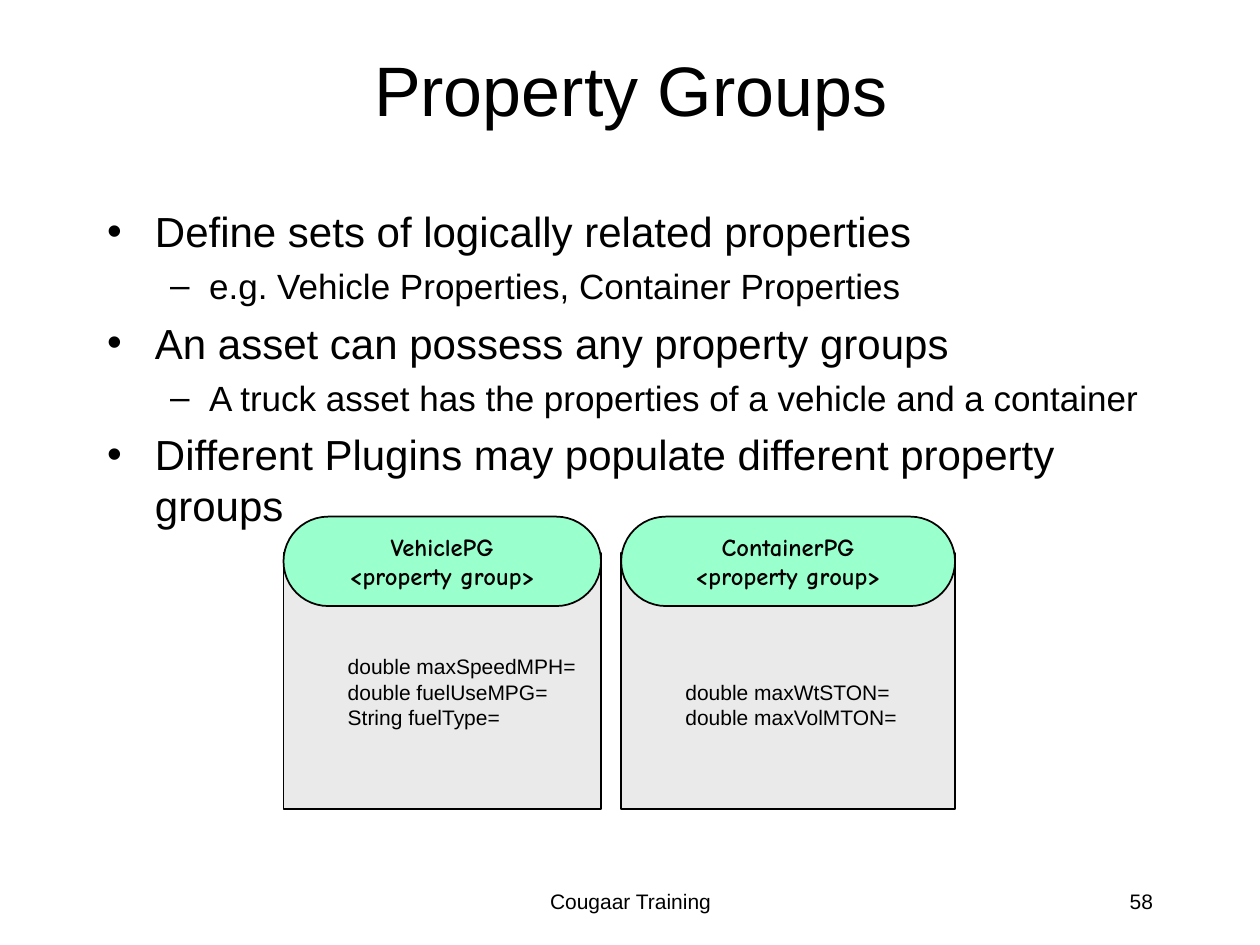
from lxml.etree import SubElement
from pptx import Presentation
from pptx.dml.color import RGBColor
from pptx.enum.shapes import MSO_SHAPE as Preset
from pptx.enum.text import MSO_ANCHOR as Anchor, MSO_AUTO_SIZE as AutoSize, PP_ALIGN as Align
from pptx.oxml.ns import qn
from pptx.util import Inches, Pt

# Content
TITLE = "Property Groups"
BULLETS = [
    (0, "Define sets of logically related properties"),
    (1, "e.g. Vehicle Properties, Container Properties"),
    (0, "An asset can possess any property groups"),
    (1, "A truck asset has the properties of a vehicle and a container"),
    (0, "Different Plugins may populate different property groups"),
]
# name, left, width, fields
GROUPS = [
    ("VehiclePG", 2.25, 2.52,
     ["double maxSpeedMPH=", "double fuelUseMPG=", "String fuelType="]),
    ("ContainerPG", 4.93, 2.65,
     ["double maxWtSTON=", "double maxVolMTON="]),
]
# text, left, width, alignment
FOOTERS = [
    ("Cougaar Training", 3.42, 3.17, Align.CENTER),
    ("58", 7.17, 2.08, Align.RIGHT),
]

# Style
BLACK, GREY, MINT = "000000", "EAEAEA", "99FFCC"
# bullet, text size, space before, left margin, first-line indent
LEVELS = [("•", 24, 6, 0.38, -0.38), ("–", 20, 5, 0.81, -0.31)]
BOX_TOP, BOX_HEIGHT = 4.39, 2.03
CAP_TOP, CAP_HEIGHT = 4.10, 0.71


def color(hex_text):
    return RGBColor.from_string(hex_text)


def place(shape, left, top, width, height):
    shape.left, shape.top = Inches(left), Inches(top)
    shape.width, shape.height = Inches(width), Inches(height)


def set_frame(shape, anchor=Anchor.TOP, wrap=True, insets=(0.1, 0.05, 0.1, 0.05)):
    frame = shape.text_frame
    frame.auto_size = AutoSize.NONE
    frame.word_wrap = wrap
    frame.vertical_anchor = anchor
    (frame.margin_left, frame.margin_top,
     frame.margin_right, frame.margin_bottom) = map(Inches, insets)
    return frame


def add_line(frame, text, size, align=Align.LEFT, font="Arial", bold=False):
    first = frame.paragraphs[0]
    paragraph = frame.add_paragraph() if first.runs else first
    paragraph.alignment = align
    run = paragraph.add_run()
    run.text = text
    run.font.name, run.font.size, run.font.bold = font, Pt(size), bold
    run.font.color.rgb = color(BLACK)
    return paragraph


def indent(paragraph, left, first_line=0):
    properties = paragraph._p.get_or_add_pPr()
    properties.set("marL", str(Inches(left)))
    properties.set("indent", str(Inches(first_line)))
    return properties


def add_box(slide, preset, fill, *position):
    shape = slide.shapes.add_shape(preset, *map(Inches, position))
    shape.shadow.inherit = False
    shape.fill.solid()
    shape.fill.fore_color.rgb = color(fill)
    shape.line.color.rgb = color(BLACK)
    shape.line.width = Pt(1)
    return shape


presentation = Presentation()
presentation.slide_width, presentation.slide_height = Inches(10), Inches(7.5)
slide = presentation.slides.add_slide(presentation.slide_layouts[1])
title, body = slide.placeholders

# Property group boxes, each a field list under a rounded cap
for name, left, width, fields in GROUPS:
    box = add_box(slide, Preset.RECTANGLE, GREY, left, BOX_TOP, width, BOX_HEIGHT)
    frame = set_frame(box, Anchor.BOTTOM, insets=(0.01, 0.01, 0.01, 0.63))
    for field in fields:
        paragraph = add_line(frame, field, 12)
        paragraph.level = 1
        indent(paragraph, 0.5)

    cap = add_box(slide, Preset.ROUNDED_RECTANGLE, MINT, left, CAP_TOP, width, CAP_HEIGHT)
    cap.adjustments[0] = 0.5
    frame = set_frame(cap, Anchor.MIDDLE, wrap=False)
    for text in (name, "<property group>"):
        add_line(frame, text, 14, Align.CENTER, "Comic Neue", True)

# Title
place(title, 1.42, 0.08, 7.17, 1.25)
add_line(set_frame(title, Anchor.MIDDLE), TITLE, 40, Align.CENTER)

# Bulleted list, in front of the boxes
slide.shapes._spTree.append(title._element)
slide.shapes._spTree.append(body._element)
place(body, 0.75, 1.58, 8.5, 2.83)
frame = set_frame(body)
for index, (level, text) in enumerate(BULLETS):
    bullet, size, space, left, first_line = LEVELS[level]
    paragraph = add_line(frame, text, size)
    paragraph.level = level
    properties = indent(paragraph, left, first_line)
    bullet_color = SubElement(properties, qn("a:buClr"))
    SubElement(bullet_color, qn("a:srgbClr"), val=BLACK)
    SubElement(properties, qn("a:buChar"), char=bullet)
    paragraph.space_before = Pt(space if index else 0)

# Footer
for text, left, width, align in FOOTERS:
    footer = slide.shapes.add_textbox(*map(Inches, (left, 7, width, 0.5)))
    add_line(set_frame(footer), text, 12, align)

presentation.save("out.pptx")
